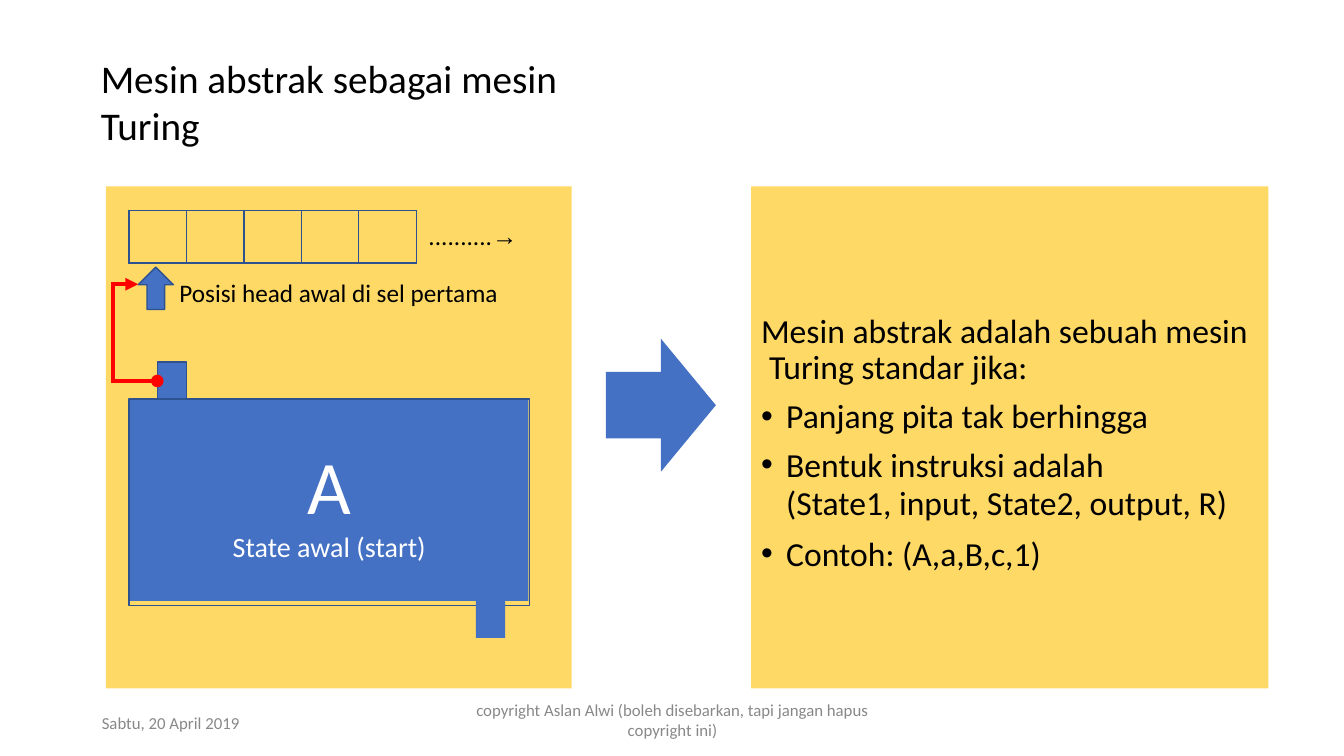
from lxml import etree
from pptx import Presentation
from pptx import util as u
from pptx.dml.color import RGBColor
from pptx.enum import shapes, text
from pptx.oxml.ns import qn

PX = 9144  # 100 px to the inch
COLORS = {"ink": "000000", "panel": "FFD966", "machine": "4471C4", "edge": "2E528F",
          "pointer": "FF0000", "footer": "888888", "white": "FFFFFF"}

# Content: each paragraph is a list of (words, format) or a plain string
TITLE = "Mesin abstrak sebagai mesin Turing"
TAPE_MORE = ".........."
TAPE_ARROW = "→"
HEAD_NOTE = "Posisi head awal di sel pertama"
STATE = [("A", {"size": 54}), ("State awal (start)", {"size": 20})]
BULLET = {"bullet": True, "margin": 35, "indent": -25}
RULES = [
    ("Mesin abstrak adalah sebuah mesin Turing standar jika:",
     {"line": 25.9, "margin": 18, "indent": -8}),
    ("Panjang pita tak berhingga", {"before": 6.6, **BULLET}),
    ("Bentuk instruksi adalah", {"before": 7.2, "line": 27.4, **BULLET}),
    ("(State1, input, State2, output, R)", {"line": 27.4, "margin": 35}),
    ("Contoh: (A,a,B,c,1)", {"before": 7.2, **BULLET}),
]
COPYRIGHT = [("copyright Aslan Alwi (boleh disebarkan, tapi jangan hapus", {"line": 12.4}),
             ("copyright ini)", {})]
DATE = "Sabtu, 20 April 2019"

# Layout in px: left, top, width, height
MACHINE_PANEL = (105, 185, 462, 498)
RULES_PANEL = (745, 185, 513, 498)
TAPE = (128, 209, 285, 52)
TAPE_CELLS = 5
HEAD = (137, 265, 35, 42)
BODY = (129, 397, 395, 199)
BODY_EDGE = (128, 396, 397, 205)
UPPER_KNOB = (156, 359, 29, 37)
LOWER_KNOB = (472, 596, 29, 37)
LEADS_TO = (601, 336, 109, 132)
POINTER = [(156, 378), (112, 378), (112, 282), (137, 282)]

deck = Presentation()
deck.slide_width, deck.slide_height = 1333 * PX, 750 * PX
slide = deck.slides.add_slide(deck.slide_layouts[6])


def emu(box):
    return [v * PX for v in box]


def rgb(name):
    return RGBColor.from_string(COLORS[name])


def write(frame, paragraphs, size=18, color="ink", align="LEFT", inset=0, font="Calibri"):
    """Fill a text frame; a paragraph's own format overrides the shared one."""
    frame.word_wrap = True
    frame.vertical_anchor = text.MSO_ANCHOR.TOP
    frame.margin_left = frame.margin_right = frame.margin_bottom = 0
    frame.margin_top = inset * PX
    for i, (words, form) in enumerate(paragraphs):
        para = frame.paragraphs[0] if i == 0 else frame.add_paragraph()
        para.alignment = getattr(text.PP_ALIGN, align)
        props = para._p.get_or_add_pPr()
        props.set("marL", str(form.get("margin", 0) * PX))
        props.set("indent", str(form.get("indent", 0) * PX))
        if form.get("bullet"):
            etree.SubElement(props, qn("a:buFont"), typeface="Arial")
            etree.SubElement(props, qn("a:buChar"), char="•")
        if "line" in form:
            para.line_spacing = u.Pt(form["line"])
        if "before" in form:
            para.space_before = u.Pt(form["before"])
        run = para.add_run()
        run.text = words
        run.font.name = font
        run.font.size = u.Pt(form.get("size", size))
        run.font.color.rgb = rgb(color)
    return frame


def label(box, paragraphs, **form):
    if isinstance(paragraphs, str):
        paragraphs = [(paragraphs, {})]
    return write(slide.shapes.add_textbox(*emu(box)).text_frame, paragraphs, **form)


def block(box, fill=None, edge=None, kind="RECTANGLE"):
    part = slide.shapes.add_shape(getattr(shapes.MSO_SHAPE, kind), *emu(box))
    part.shadow.inherit = False
    if fill:
        part.fill.solid()
        part.fill.fore_color.rgb = rgb(fill)
    else:
        part.fill.background()
    if edge:
        part.line.color.rgb = rgb(edge)
        part.line.width = u.Pt(1)
    else:
        part.line.fill.background()
    return part


# Title and machine panel
label((100, 54, 530, 95), TITLE, size=28)
block(MACHINE_PANEL, "panel")

# Tape
tape = slide.shapes.add_table(1, TAPE_CELLS, *emu(TAPE)).table
tape.first_row = tape.horz_banding = False
for column, cell in zip(tape.columns, tape.rows[0].cells):
    column.width = TAPE[2] * PX // TAPE_CELLS
    props = cell._tc.get_or_add_tcPr()
    for side in ("lnL", "lnR", "lnT", "lnB"):
        border = etree.SubElement(props, qn(f"a:{side}"), w=str(u.Pt(1)))
        paint = etree.SubElement(border, qn("a:solidFill"))
        etree.SubElement(paint, qn("a:srgbClr"), val=COLORS["edge"])
    cell.fill.solid()
    cell.fill.fore_color.rgb = rgb("panel")
more = label((425, 218, 110, 33), TAPE_MORE, inset=1).paragraphs[0].add_run()
more.text = TAPE_ARROW
more.font.name = "Arial"
more.font.size = u.Pt(18)
more.font.color.rgb = rgb("ink")

# Machine: head, body and knobs
block(HEAD, "machine", "edge", "UP_ARROW")
block(BODY_EDGE, edge="edge")
write(block(BODY, "machine").text_frame, STATE, color="white", align="CENTER", inset=38)
block(UPPER_KNOB, "machine", "edge")
block(LOWER_KNOB, "machine")

# Pointer from the upper knob to the head
builder = slide.shapes.build_freeform(*POINTER[0], scale=PX)
builder.add_line_segments(POINTER[1:], close=False)
pointer = builder.convert_to_shape()
pointer.shadow.inherit = False
pointer.fill.background()
pointer.line.color.rgb = rgb("pointer")
pointer.line.width = u.Pt(3)
stroke = pointer.line._get_or_add_ln()
etree.SubElement(stroke, qn("a:miter"), lim="800000")
etree.SubElement(stroke, qn("a:headEnd"), type="oval")
etree.SubElement(stroke, qn("a:tailEnd"), type="triangle")
label((178, 275, 340, 33), HEAD_NOTE)

# Rules panel
block(LEADS_TO, "machine", kind="RIGHT_ARROW")
rules = write(block(RULES_PANEL, "panel").text_frame, RULES, size=24, inset=126)
rules.margin_left = 10 * PX
for para, (_, form) in zip(rules.paragraphs, RULES):
    para._p.pPr.set("marL", str((form["margin"] - 10) * PX))

# Footer
label((471, 697, 392, 40), COPYRIGHT, size=12, color="footer", align="CENTER")
label((101, 707, 160, 19), DATE, size=12, color="footer")

deck.save("out.pptx")
